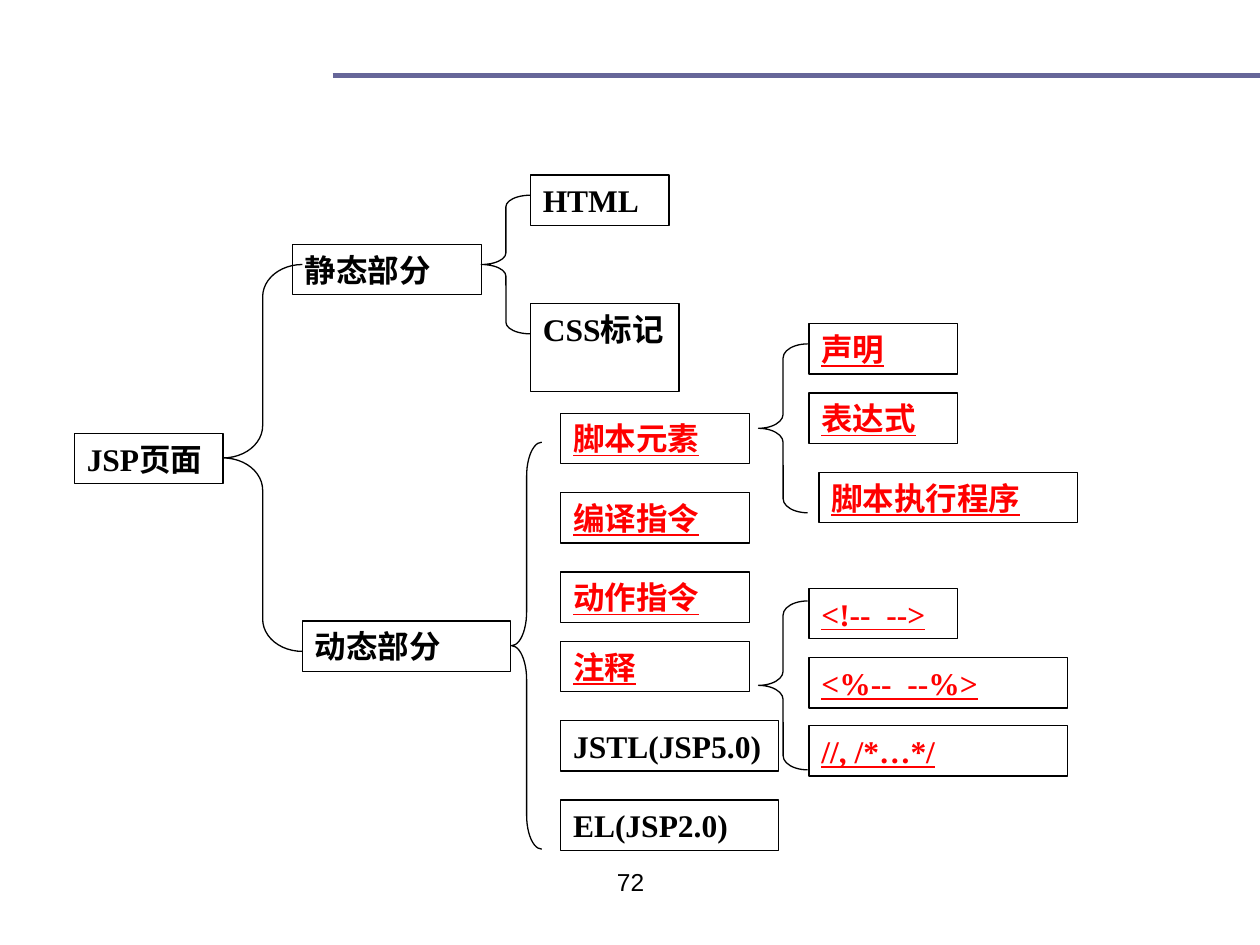
from lxml.etree import SubElement
from pptx import Presentation
from pptx.dml.color import RGBColor
from pptx.enum.shapes import MSO_CONNECTOR, MSO_SHAPE
from pptx.enum.text import MSO_ANCHOR, MSO_AUTO_SIZE, PP_ALIGN
from pptx.oxml.ns import qn
from pptx.util import Inches, Pt

BLACK, RED, RULE = "000000", "FF0000", "666699"
BOX_HEIGHT = 0.4

# text, left, top, width
PLAIN_BOXES = [
    ("JSP页面", 0.59, 3.44, 1.18),
    ("静态部分", 2.32, 1.94, 1.5),
    ("动态部分", 2.4, 4.93, 1.65),
    ("HTML", 4.21, 1.39, 1.1),
    ("JSTL(JSP5.0)", 4.45, 5.72, 1.73),
    ("EL(JSP2.0)", 4.45, 6.35, 1.73),
]
KEY_BOXES = [
    ("脚本元素", 4.45, 3.28, 1.5),
    ("编译指令", 4.45, 3.91, 1.5),
    ("动作指令", 4.45, 4.54, 1.5),
    ("注释", 4.45, 5.09, 1.5),
    ("声明", 6.42, 2.57, 1.18),
    ("表达式", 6.42, 3.12, 1.18),
    ("脚本执行程序", 6.5, 3.75, 2.05),
    ("<!--  -->", 6.42, 4.67, 1.18),
    ("<%--  --%>", 6.42, 5.22, 2.05),
    ("//, /*…*/", 6.42, 5.76, 2.05),
]
# left, top, width, height
BRACES = [
    (1.77, 2.1, 0.63, 3.07),
    (3.82, 1.55, 0.39, 1.1),
    (4.06, 3.51, 0.24, 3.23),
    (6.02, 2.73, 0.39, 1.34),
    (6.02, 4.77, 0.39, 1.34),
]


def color(value):
    return RGBColor.from_string(value)


def write(shape, text, size=18, font="Times New Roman", ink=BLACK,
          bold=False, underline=False, align=PP_ALIGN.LEFT):
    frame = shape.text_frame
    frame.word_wrap = True
    frame.vertical_anchor = MSO_ANCHOR.TOP
    para = frame.paragraphs[0]
    para.alignment = align
    span = para.add_run()
    span.text = text
    span.font.size = Pt(size)
    span.font.name = font
    span.font.bold = bold
    span.font.underline = underline
    span.font.color.rgb = color(ink)


class TreeSlide:
    def __init__(self, page, line_width=0.75):
        self.page = page
        self.line_width = line_width

    def outline(self, preset, left, top, width, height):
        """Add an unfilled preset shape with a thin black line."""
        shape = self.page.shapes.add_shape(
            preset, Inches(left), Inches(top), Inches(width), Inches(height))
        shape.shadow.inherit = False
        shape.fill.background()
        shape.line.color.rgb = color(BLACK)
        shape.line.width = Pt(self.line_width)
        return shape

    def box(self, text, left, top, width, height=BOX_HEIGHT, **style):
        box = self.outline(MSO_SHAPE.RECTANGLE, left, top, width, height)
        write(box, text, bold=True, **style)
        box.text_frame.auto_size = MSO_AUTO_SIZE.SHAPE_TO_FIT_TEXT

    def brace(self, left, top, width, height):
        """Add a left brace whose curves each take a twelfth of its height."""
        brace = self.outline(MSO_SHAPE.LEFT_BRACE, left, top, width, height)
        brace.adjustments[0] = height / 12 / width

    def rule(self, left, right, y):
        rule = self.page.shapes.add_connector(
            MSO_CONNECTOR.STRAIGHT, Inches(left), Inches(y), Inches(right), Inches(y))
        rule.line.color.rgb = color(RULE)
        rule.line.width = Pt(3)
        SubElement(rule._element.spPr, qn("a:effectLst"))

    def page_number(self, text, left, top, width, height):
        label = self.page.shapes.add_textbox(
            Inches(left), Inches(top), Inches(width), Inches(height))
        write(label, text, size=14, font="Arial", align=PP_ALIGN.CENTER)


def main():
    deck = Presentation()
    deck.slide_width, deck.slide_height = Inches(10), Inches(7.5)
    tree = TreeSlide(deck.slides.add_slide(deck.slide_layouts[6]))
    tree.rule(2.64, 10, 0.6)
    tree.page_number("72", 3.42, 6.83, 3.17, 0.52)
    for brace in BRACES:
        tree.brace(*brace)
    for box in PLAIN_BOXES:
        tree.box(*box)
    tree.box("CSS标记", 4.21, 2.41, 1.18, height=0.7)
    for box in KEY_BOXES:
        tree.box(*box, ink=RED, underline=True)
    deck.save("out.pptx")


if __name__ == "__main__":
    main()
